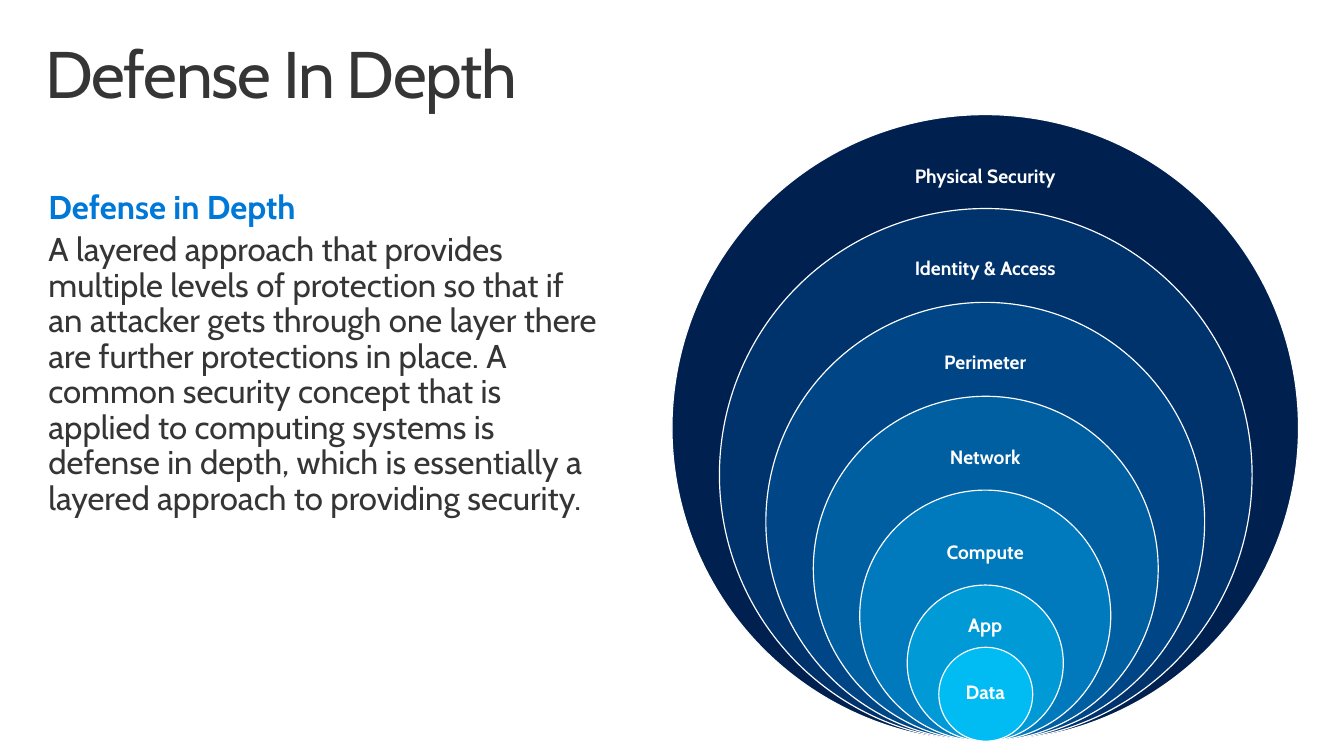
from pptx import Presentation
from pptx.dml.color import RGBColor
from pptx.enum.shapes import MSO_SHAPE as SHAPE
from pptx.enum.text import MSO_ANCHOR as ANCHOR, MSO_AUTO_SIZE as AUTO, PP_ALIGN as ALIGN
from pptx.util import Pt

PX = 9144  # 100 px to the inch
FONT = "Cabin"
WHITE = RGBColor(0xFF, 0xFF, 0xFF)
DARK = RGBColor(0x35, 0x35, 0x35)
BLUE = RGBColor(0x00, 0x78, 0xD7)


def box(x, y, w, h):
    return [v * PX for v in (x, y, w, h)]


def format_text(tf, size, colors, bolds, inset, align=ALIGN.LEFT, anchor=ANCHOR.TOP):
    tf.word_wrap = True
    tf.auto_size = AUTO.NONE
    tf.vertical_anchor = anchor
    tf.margin_left = tf.margin_right = inset * PX
    tf.margin_top = tf.margin_bottom = 10 * PX
    for p, color, bold in zip(tf.paragraphs, colors, bolds):
        p.alignment = align
        p.line_spacing = 0.9
        font = p.runs[0].font
        font.name, font.size, font.bold = FONT, Pt(size), bold
        font.color.rgb = color


prs = Presentation()
prs.slide_width, prs.slide_height = 1360 * PX, 765 * PX
s = prs.slides.add_slide(prs.slide_layouts[5])

# Title
title = s.shapes.title
title.left, title.top, title.width, title.height = box(30, 32, 1300, 100)
title.text_frame.text = "Defense In Depth"
format_text(title.text_frame, 48, [DARK], [False], 16)
title.text_frame.paragraphs[0].runs[0].font._element.set("spc", "-100")

# Definition
tf = s.shapes.add_textbox(*box(33, 183, 592, 400)).text_frame
tf.text = (
    "Defense in Depth\n"
    "A layered approach that provides multiple levels of protection so that if an "
    "attacker gets through one layer there are further protections in place. A common "
    "security concept that is applied to computing systems is defense in depth, which "
    "is essentially a layered approach to providing security."
)
format_text(tf, 24, [BLUE, DARK], [True, False], 16)
for p in tf.paragraphs:
    p.space_before = Pt(5)

# Nested layers, outermost first: label, diameter, label centre, fill
LAYERS = [
    ("Physical Security", 634, 179, RGBColor(0x00, 0x20, 0x50)),
    ("Identity & Access", 539, 273, RGBColor(0x00, 0x32, 0x6B)),
    ("Perimeter", 444, 368, RGBColor(0x00, 0x46, 0x86)),
    ("Network", 349, 464, RGBColor(0x00, 0x5F, 0xA1)),
    ("Compute", 254, 560, RGBColor(0x00, 0x7A, 0xBC)),
    ("App", 158, 634, RGBColor(0x00, 0x9A, 0xD7)),
    ("Data", 95, 702, RGBColor(0x00, 0xBC, 0xF2)),
]
CENTER_X, BASE_Y = 997, 750
LABEL_W, LABEL_H = 230, 60

for label, d, label_y, fill in LAYERS:
    sp = s.shapes.add_shape(SHAPE.OVAL, *box(CENTER_X - d // 2, BASE_Y - d, d, d))
    sp.shadow.inherit = False
    sp.fill.solid()
    sp.fill.fore_color.rgb = fill
    sp.line.color.rgb = WHITE
    sp.line.width = Pt(0.85)

    tb = s.shapes.add_textbox(
        *box(CENTER_X - LABEL_W // 2, label_y - LABEL_H // 2, LABEL_W, LABEL_H))
    tb.text_frame.text = label
    format_text(tb.text_frame, 14, [WHITE], [True], 11, ALIGN.CENTER, ANCHOR.MIDDLE)

prs.save("out.pptx")
